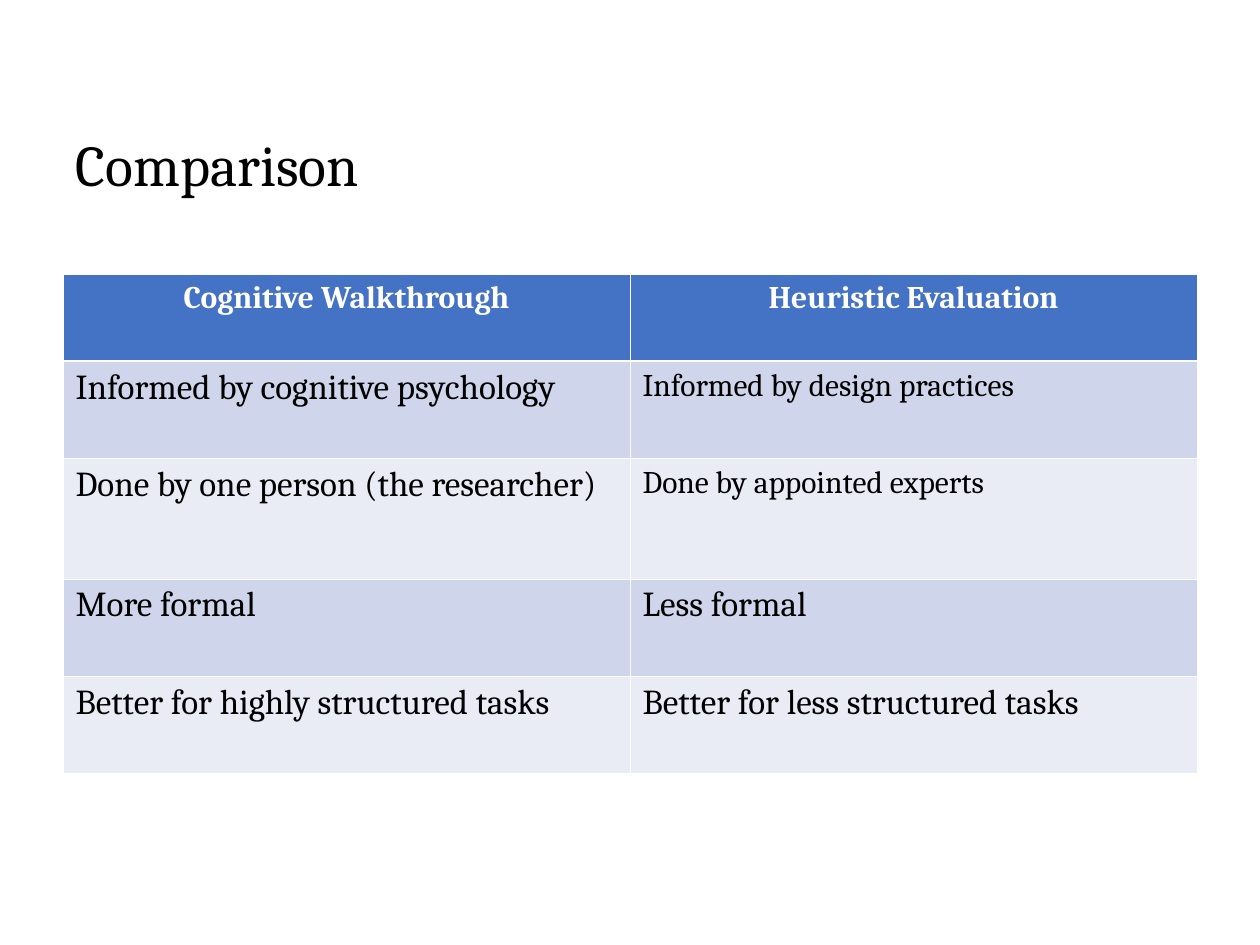
from lxml import etree
from pptx import Presentation
from pptx.dml.color import RGBColor
from pptx.enum import text
from pptx.oxml import ns
from pptx.util import Pt


def color(hex_string):
    """Turn a hex string into a colour."""
    return RGBColor.from_string(hex_string)


class SlideBuilder:
    """Hold the style and the current slide."""

    font = "Cambria"
    ink, paper = "000000", "FFFFFF"
    header_fill = "4472C4"
    band_fills = ("CFD5EA", "E9EBF5")
    rule, header_rule = 0.45, 1.47

    def __init__(self, deck):
        """Add a title-only slide."""
        self.slide = deck.slides.add_slide(deck.slide_layouts[5])

    def add_words(self, frame, words, size, ink, align, bold=False):
        """Add one run to the first paragraph of a frame."""
        paragraph = frame.paragraphs[0]
        paragraph.alignment = align
        run = paragraph.add_run()
        run.text = words
        run.font.name, run.font.size, run.font.bold = self.font, Pt(size), bold
        run.font.color.rgb = color(ink)
        return paragraph

    def title(self, words, left, top, width, height, size):
        """Place and format the title."""
        heading = self.slide.shapes.title
        heading.left, heading.top = Pt(left), Pt(top)
        heading.width, heading.height = Pt(width), Pt(height)
        frame = heading.text_frame
        frame.word_wrap = True
        frame.auto_size = text.MSO_AUTO_SIZE.NONE
        frame.vertical_anchor = text.MSO_ANCHOR.MIDDLE
        line = self.add_words(frame, words, size, self.ink, text.PP_ALIGN.LEFT)
        line.line_spacing = 0.9

    def borders(self, cell, top, bottom):
        """Draw the four borders of a cell."""
        properties = cell._tc.get_or_add_tcPr()
        widths = {"lnL": self.rule, "lnR": self.rule, "lnT": top, "lnB": bottom}
        for side, width in widths.items():
            edge = etree.SubElement(properties, ns.qn(f"a:{side}"), w=str(Pt(width)))
            fill = etree.SubElement(edge, ns.qn("a:solidFill"))
            etree.SubElement(fill, ns.qn("a:srgbClr"), val=self.paper)

    def cell(self, cell, words, size, row):
        """Fill, border and label a cell according to its row."""
        header = row == 0
        self.borders(
            cell,
            self.header_rule if row == 1 else self.rule,
            self.header_rule if header else self.rule,
        )
        cell.fill.solid()
        fill = self.header_fill if header else self.band_fills[(row - 1) % 2]
        cell.fill.fore_color.rgb = color(fill)
        align = text.PP_ALIGN.CENTER if header else text.PP_ALIGN.LEFT
        ink = self.paper if header else self.ink
        self.add_words(cell.text_frame, words, size, ink, align, header)

    def table(self, rows, heights, left, top, width):
        """Add a table with equal columns from rows of words and sizes."""
        grid = self.slide.shapes.add_table(
            len(rows), len(rows[0]), Pt(left), Pt(top), Pt(width), Pt(sum(heights))
        ).table
        for row, (entries, height) in enumerate(zip(rows, heights)):
            grid.rows[row].height = Pt(height)
            for column, (words, size) in enumerate(entries):
                self.cell(grid.cell(row, column), words, size, row)


def main():
    """Build the comparison slide."""
    deck = Presentation()
    deck.slide_width, deck.slide_height = Pt(720), Pt(540)
    comparison = [
        [("Cognitive Walkthrough", 18), ("Heuristic Evaluation", 18)],
        [("Informed by cognitive psychology", 20), ("Informed by design practices", 18)],
        [("Done by one person (the researcher)", 20), ("Done by appointed experts", 18)],
        [("More formal", 20), ("Less formal", 20)],
        [("Better for highly structured tasks", 20), ("Better for less structured tasks", 20)],
    ]
    builder = SlideBuilder(deck)
    builder.title("Comparison", 36, 54, 648, 84, 33)
    builder.table(comparison, [50, 55.5, 69, 55.5, 55.5], 36, 156.5, 648)
    deck.save("out.pptx")


if __name__ == "__main__":
    main()
